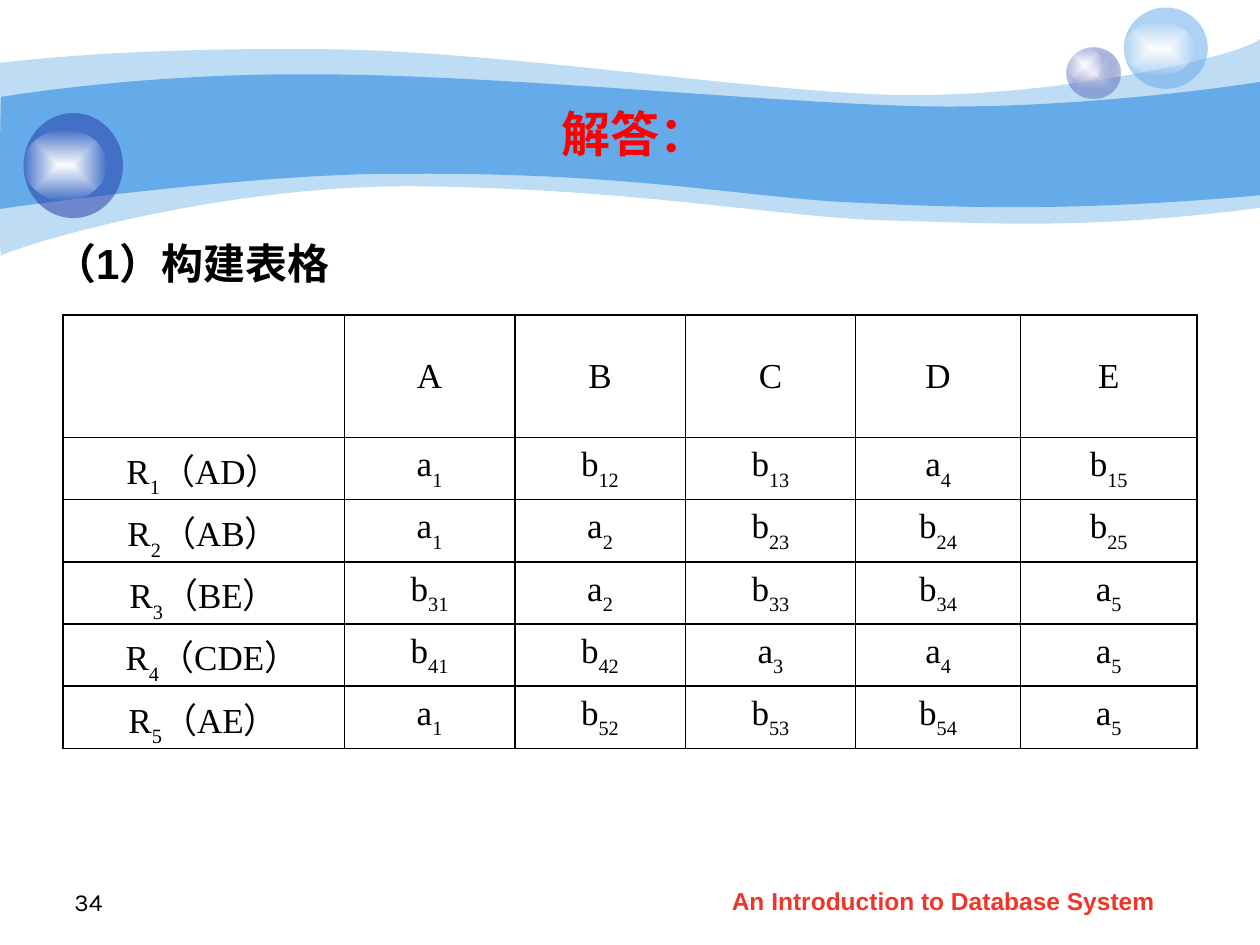
from lxml import etree
from pptx import Presentation
from pptx.dml.color import RGBColor
from pptx.enum.shapes import MSO_SHAPE
from pptx.enum.text import MSO_ANCHOR, PP_ALIGN
from pptx.oxml.ns import qn
from pptx.util import Pt

OVAL = MSO_SHAPE.OVAL
TOP, MIDDLE, BOTTOM = MSO_ANCHOR.TOP, MSO_ANCHOR.MIDDLE, MSO_ANCHOR.BOTTOM
LEFT, CENTER, RIGHT = PP_ALIGN.LEFT, PP_ALIGN.CENTER, PP_ALIGN.RIGHT

BLACK = RGBColor(0x00, 0x00, 0x00)
WHITE = RGBColor(0xFF, 0xFF, 0xFF)
RED = RGBColor(0xFF, 0x00, 0x00)
FOOTER_RED = RGBColor(0xF0, 0x36, 0x28)
SKY = RGBColor(0x65, 0xAA, 0xE9)
NAVY = RGBColor(0x23, 0x3D, 0xA9)
PEARL = RGBColor(0xE1, 0xE2, 0xED)

WAVES = [
    (41, (0, 36), [
        [(17.3, 33.8), (77, 27.4), (177.8, 28.1)],
        [(277.9, 28.1), (414, 50.4), (503.3, 54)],
        [(591.8, 57.6), (705.6, 33.8), (720, 22.3)],
        [(720, 118.8)],
        [(617.8, 131.8), (566.6, 127.4), (507.6, 126)],
        [(447.8, 124.6), (370.8, 108.7), (247, 106.6)],
        [(123.8, 103.7), (2.9, 143.3), (0.7, 146.2)],
        [(-0.7, 149.8), (0, 54), (0, 36)],
    ]),
    (100, (0.7, 55.4), [
        [(1.4, 55.4), (79.2, 41.8), (178.6, 42.5)],
        [(277.9, 42.5), (428.4, 57.6), (517, 60.5)],
        [(605.5, 63.4), (702.7, 49.7), (720, 46.8)],
        [(720, 111.6)],
        [(614.2, 121), (550.8, 118.8), (491, 115.9)],
        [(431.3, 113.8), (359.3, 97.9), (228.2, 99.4)],
        [(146.2, 98.6), (-1.4, 119.5), (-0.7, 119.5)],
        [(0, 119.5), (0, 55.4), (0.7, 55.4)],
    ]),
]

BUBBLES = [
    [((609.8, 27.4, 30.2, 29), PEARL, NAVY, 31),
     ((609.8, 27.4, 20, 19.5), WHITE, WHITE, 0)],
    [((642.2, 4.3, 48, 46.5), None, SKY, 53),
     ((642.2, 12.2, 40.3, 31), WHITE, WHITE, 0)],
    [((13.5, 64.6, 56.8, 60), None, NAVY, 53),
     ((13.5, 74.4, 47.5, 40.3), WHITE, WHITE, 0)],
]

TEXTS = [
    ("解答：", (72, 53.8, 581.8, 44.6), MIDDLE, CENTER, "Arial", 28, True, RED, True),
    ("（1）构建表格", (12.8, 132.3, 193.7, 36), MIDDLE, CENTER, "Arial", 24, True, BLACK, False),
    ("An Introduction to Database System", (411.1, 502.6, 283.7, 25.2),
     TOP, LEFT, "Arial", 14, True, FOOTER_RED, True),
    ("34", (19.6, 491, 46.1, 36), BOTTOM, RIGHT, "Karla", 14, False, BLACK, True),
]

ATTRIBUTES = "ABCDE"
RELATIONS = [
    ("AD", "a1 b12 b13 a4 b15", -27),
    ("AB", "a1 a2 b23 b24 b25", -27),
    ("BE", "b31 a2 b33 b34 a5", -27),
    ("CDE", "b41 b42 a3 a4 a5", -17),
    ("AE", "a1 b52 b53 b54 a5", -27),
]
COLUMN_WIDTHS = [160.8, 97.4, 97.4, 97.4, 94.2, 100.8]
HEADER_HEIGHT, ROW_HEIGHT = 70, 32.8


def set_alpha(color_parent, percent):
    color = next(color_parent.iter(qn("a:srgbClr")))
    etree.SubElement(color, qn("a:alpha"), val=str(percent * 1000))


def fill_plain(shape, color, opacity):
    shape.fill.solid()
    shape.fill.fore_color.rgb = color
    if opacity < 100:
        set_alpha(shape.fill._xPr.find(qn("a:solidFill")), opacity)


def add_wave(slide, opacity, start, segments):
    points = [(Pt(x), Pt(y)) for segment in segments for x, y in segment]
    builder = slide.shapes.build_freeform(Pt(start[0]), Pt(start[1]))
    builder.add_line_segments(points)
    wave = builder.convert_to_shape()
    lines = list(wave._element.iter(qn("a:lnTo")))
    for segment in segments:
        group, lines = lines[:len(segment)], lines[len(segment):]
        if len(group) == 3:
            bend = etree.Element(qn("a:cubicBezTo"))
            group[0].addprevious(bend)
            for line in group:
                bend.append(line[0])
                line.getparent().remove(line)
    wave.shadow.inherit = False
    wave.line.fill.background()
    fill_plain(wave, SKY, opacity)


def add_disc(shapes, box, core, rim, opacity):
    disc = shapes.add_shape(OVAL, *map(Pt, box))
    disc.shadow.inherit = False
    disc.line.fill.background()
    if core is None:
        fill_plain(disc, rim, opacity)
        return
    disc.fill.gradient()
    for stop, color, position in zip(disc.fill.gradient_stops, (core, rim), (0, 1)):
        stop.color.rgb = color
        stop.position = position
    gradient = disc.fill._xPr.find(qn("a:gradFill"))
    set_alpha(gradient.findall(".//" + qn("a:gs"))[1], opacity)
    gradient.remove(gradient.find(qn("a:lin")))
    shading = etree.SubElement(gradient, qn("a:path"), path="shape")
    etree.SubElement(shading, qn("a:fillToRect"), l="50000", t="50000", r="50000", b="50000")


def style(run, font, size, color, bold=False):
    run.font.name, run.font.size, run.font.bold = font, Pt(size), bold
    run.font.color.rgb = color


def add_text(slide, text, box, anchor, align, font, size, bold, color, wrap):
    frame = slide.shapes.add_textbox(*map(Pt, box)).text_frame
    frame.word_wrap, frame.vertical_anchor = wrap, anchor
    frame.text = text
    paragraph = frame.paragraphs[0]
    paragraph.alignment = align
    style(paragraph.runs[0], font, size, color, bold)


def fill_cell(cell, symbol, subscript="", suffix="", indent=-27):
    cell.fill.background()
    cell.vertical_anchor = MIDDLE
    properties = cell._tc.get_or_add_tcPr()
    for index, side in enumerate(("lnL", "lnR", "lnT", "lnB")):
        border = etree.Element(qn("a:" + side), w=str(Pt(1)))
        solid = etree.SubElement(border, qn("a:solidFill"))
        etree.SubElement(solid, qn("a:srgbClr"), val=str(BLACK))
        properties.insert(index, border)
    paragraph = cell.text_frame.paragraphs[0]
    paragraph.alignment = CENTER
    margins = paragraph._p.get_or_add_pPr()
    margins.set("marL", str(Pt(27)))
    margins.set("indent", str(Pt(indent)))
    for part, baseline in ((symbol, 0), (subscript, -30000), (suffix, 0)):
        if part:
            run = paragraph.add_run()
            run.text = part
            style(run, "Times New Roman", 20, BLACK)
            if baseline:
                run.font._element.set("baseline", str(baseline))


def add_tableau(slide):
    rows = [[("",)] + [(name,) for name in ATTRIBUTES]]
    for number, (scheme, symbols, indent) in enumerate(RELATIONS, 1):
        rows.append([("R", str(number), f"（{scheme}）", indent)]
                    + [(symbol[0], symbol[1:]) for symbol in symbols.split()])
    heights = [HEADER_HEIGHT] + [ROW_HEIGHT] * len(RELATIONS)
    tableau = slide.shapes.add_table(
        len(rows), len(COLUMN_WIDTHS), Pt(36), Pt(180),
        Pt(sum(COLUMN_WIDTHS)), Pt(sum(heights))).table
    tableau.first_row = tableau.horz_banding = False
    for column, width in zip(tableau.columns, COLUMN_WIDTHS):
        column.width = Pt(width)
    for row, height, entries in zip(tableau.rows, heights, rows):
        row.height = Pt(height)
        for cell, entry in zip(row.cells, entries):
            fill_cell(cell, *entry)


def main():
    deck = Presentation()
    deck.slide_width, deck.slide_height = Pt(720), Pt(540)
    slide = deck.slides.add_slide(deck.slide_layouts[6])
    for wave in WAVES:
        add_wave(slide, *wave)
    for bubble in BUBBLES:
        group = slide.shapes.add_group_shape()
        for disc in bubble:
            add_disc(group.shapes, *disc)
    for text in TEXTS:
        add_text(slide, *text)
    add_tableau(slide)
    deck.save("out.pptx")


if __name__ == "__main__":
    main()
